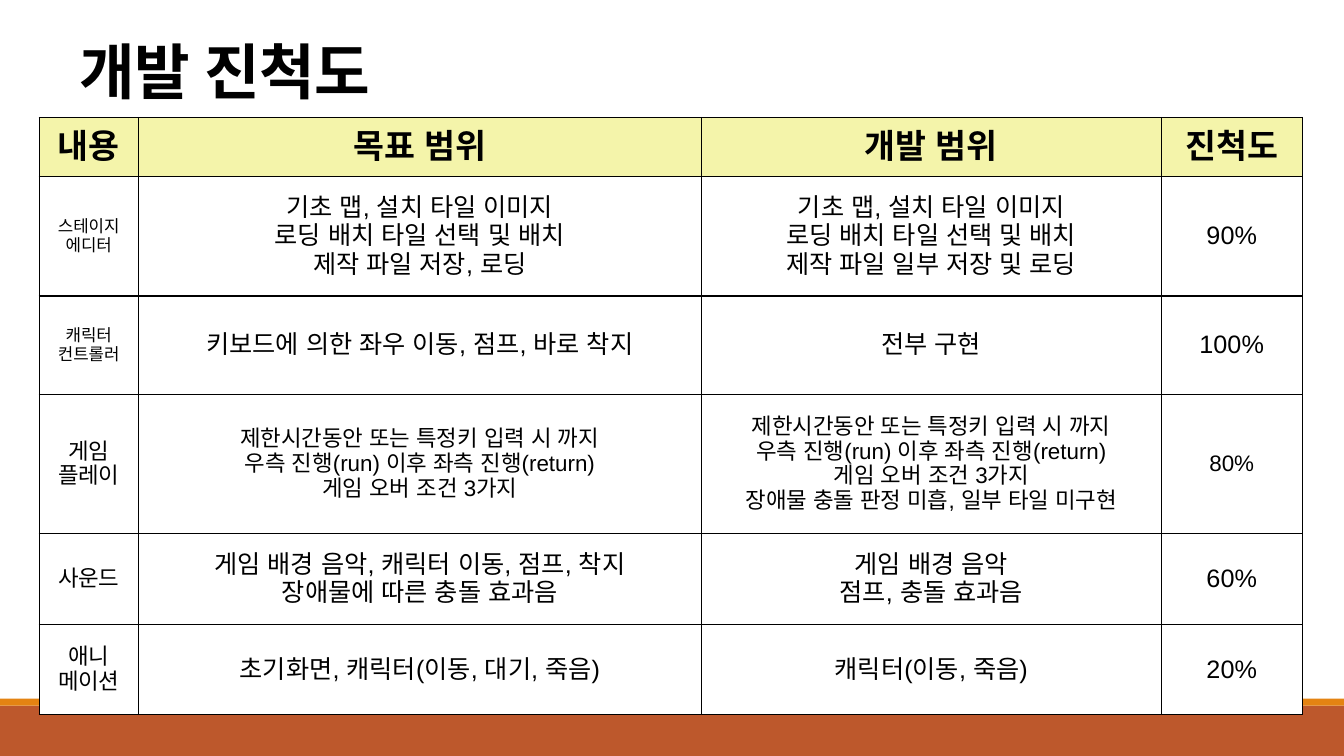
from lxml.etree import SubElement
from pptx import Presentation
from pptx.dml.color import RGBColor
from pptx.enum.shapes import MSO_SHAPE
from pptx.enum.text import MSO_ANCHOR, PP_ALIGN
from pptx.oxml.ns import qn
from pptx.util import Pt

TITLE = "개발 진척도"
HEADERS = ["내용", "목표 범위", "개발 범위", "진척도"]
HEADER_SIZE = 24
# (topic size, detail size, cells as lists of lines)
PROGRESS = [
    (12, 18, [["스테이지", "에디터"],
              ["기초 맵, 설치 타일 이미지", "로딩 배치 타일 선택 및 배치", "제작 파일 저장, 로딩"],
              ["기초 맵, 설치 타일 이미지", "로딩 배치 타일 선택 및 배치", "제작 파일 일부 저장 및 로딩"],
              ["90%"]]),
    (12, 18, [["캐릭터", "컨트롤러"],
              ["키보드에 의한 좌우 이동, 점프, 바로 착지"],
              ["전부 구현"],
              ["100%"]]),
    (16, 16, [["게임", "플레이"],
              ["제한시간동안 또는 특정키 입력 시 까지", "우측 진행(run) 이후 좌측 진행(return)",
               "게임 오버 조건 3가지"],
              ["제한시간동안 또는 특정키 입력 시 까지", "우측 진행(run) 이후 좌측 진행(return)",
               "게임 오버 조건 3가지", "장애물 충돌 판정 미흡, 일부 타일 미구현"],
              ["80%"]]),
    (16, 18, [["사운드"],
              ["게임 배경 음악, 캐릭터 이동, 점프, 착지", "장애물에 따른 충돌 효과음"],
              ["게임 배경 음악", "점프, 충돌 효과음"],
              ["60%"]]),
    (16, 18, [["애니", "메이션"],
              ["초기화면, 캐릭터(이동, 대기, 죽음)"],
              ["캐릭터(이동, 죽음)"],
              ["20%"]]),
]
COLUMN_WIDTHS = [70.8, 402.2, 328.5, 100.7]
ROW_HEIGHTS = [42, 85.5, 70.2, 99.3, 65, 64.7]
SLIDE_WIDTH, SLIDE_HEIGHT = 960, 540
BANDS = [(504, 36, "BD582C"), (499, 5, "E48312")]  # top, height, colour
FONT, INK, HEADER_FILL, BODY_FILL = "Arial", "000000", "F4F4AA", "FFFFFF"


def paint(fill, color):
    fill.solid()
    fill.fore_color.rgb = RGBColor.from_string(color)


def write_lines(frame, lines, size, bold=False, align=PP_ALIGN.CENTER):
    frame.text = "\n".join(lines)
    for paragraph in frame.paragraphs:
        paragraph.alignment = align
        font = paragraph.font
        font.name = FONT
        font.size = Pt(size)
        font.bold = bold
        font.color.rgb = RGBColor.from_string(INK)
        # Korean text takes its font from the East Asian slot
        SubElement(font._element, qn("a:ea"), typeface=FONT)


def add_borders(cell):
    """Outline a cell; borders must precede the fill in its properties."""
    properties = cell._tc.get_or_add_tcPr()
    for position, side in enumerate(("a:lnL", "a:lnR", "a:lnT", "a:lnB")):
        line = SubElement(properties, qn(side), w=str(Pt(1)))
        fill = SubElement(line, qn("a:solidFill"))
        SubElement(fill, qn("a:srgbClr"), val=INK)
        properties.insert(position, line)


def add_bands(slide):
    for top, height, color in BANDS:
        band = slide.shapes.add_shape(MSO_SHAPE.RECTANGLE, 0, Pt(top), Pt(SLIDE_WIDTH), Pt(height))
        band.shadow.inherit = False
        paint(band.fill, color)
        band.line.fill.background()


def add_title(slide):
    frame = slide.shapes.add_textbox(Pt(49.5), Pt(24.5), Pt(792), Pt(55.5)).text_frame
    frame.word_wrap = True
    frame.vertical_anchor = MSO_ANCHOR.BOTTOM
    write_lines(frame, [TITLE], 43.2, bold=True, align=PP_ALIGN.LEFT)
    heading = frame.paragraphs[0]
    heading.line_spacing = 0.85
    heading.font._element.set("spc", "-50")


def add_progress_table(slide):
    table = slide.shapes.add_table(len(ROW_HEIGHTS), len(COLUMN_WIDTHS), Pt(28), Pt(84),
                                   Pt(sum(COLUMN_WIDTHS)), Pt(sum(ROW_HEIGHTS))).table
    for column, width in zip(table.columns, COLUMN_WIDTHS):
        column.width = Pt(width)
    for row, height in zip(table.rows, ROW_HEIGHTS):
        row.height = Pt(height)

    header = (HEADER_SIZE, HEADER_SIZE, [[name] for name in HEADERS])
    for r, (topic_size, detail_size, entries) in enumerate([header] + PROGRESS):
        for c, lines in enumerate(entries):
            cell = table.cell(r, c)
            cell.vertical_anchor = MSO_ANCHOR.MIDDLE
            paint(cell.fill, BODY_FILL if r else HEADER_FILL)
            add_borders(cell)
            write_lines(cell.text_frame, lines, detail_size if c else topic_size, bold=r == 0)


def main():
    deck = Presentation()
    deck.slide_width, deck.slide_height = Pt(SLIDE_WIDTH), Pt(SLIDE_HEIGHT)
    slide = deck.slides.add_slide(deck.slide_layouts[6])
    add_bands(slide)
    add_title(slide)
    add_progress_table(slide)
    deck.save("out.pptx")


if __name__ == "__main__":
    main()
